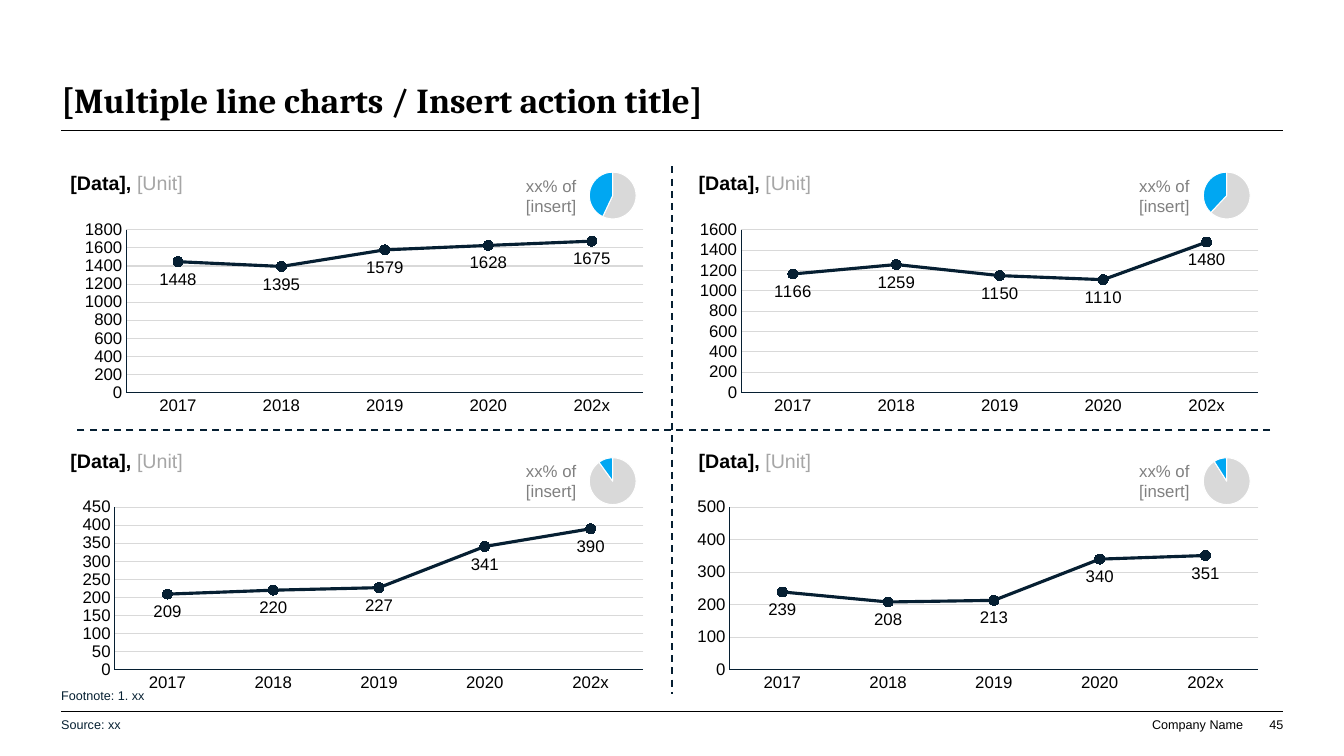
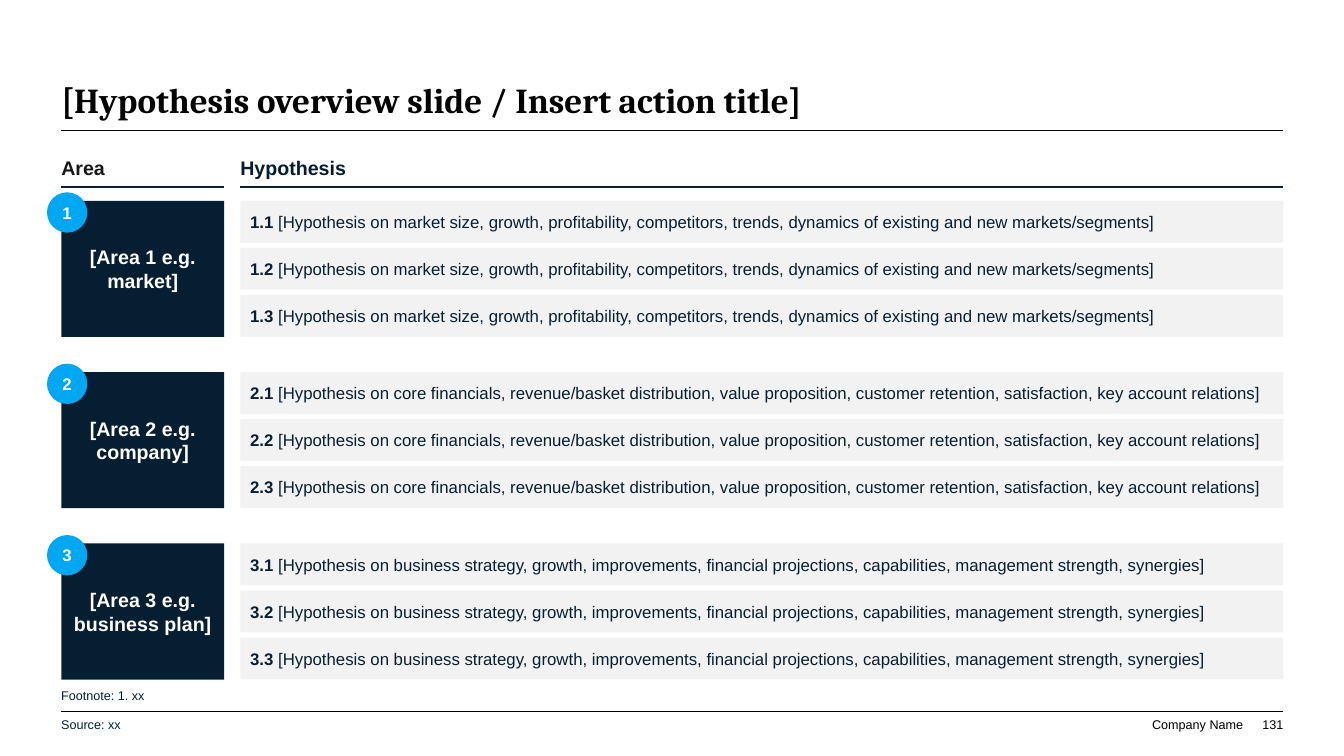
from pptx import Presentation
from pptx.chart.data import CategoryChartData
from pptx.dml.color import RGBColor
from pptx.enum.chart import XL_CHART_TYPE, XL_LABEL_POSITION, XL_MARKER_STYLE, XL_TICK_MARK
from pptx.enum.dml import MSO_LINE
from pptx.enum.shapes import MSO_CONNECTOR, MSO_SHAPE
from pptx.enum.text import MSO_ANCHOR, MSO_AUTO_SIZE, PP_ALIGN
from pptx.oxml import parse_xml
from pptx.oxml.ns import nsdecls, qn
from pptx.util import Pt

LINE, PIE = XL_CHART_TYPE.LINE_MARKERS, XL_CHART_TYPE.PIE
BELOW, DOT, NO_TICK = XL_LABEL_POSITION.BELOW, XL_MARKER_STYLE.CIRCLE, XL_TICK_MARK.NONE
DASH, STRAIGHT = MSO_LINE.DASH, MSO_CONNECTOR.STRAIGHT
RECT, OVAL = MSO_SHAPE.RECTANGLE, MSO_SHAPE.OVAL
TOP, MID, LOW = MSO_ANCHOR.TOP, MSO_ANCHOR.MIDDLE, MSO_ANCHOR.BOTTOM
LEFT, MIDST, RIGHT = PP_ALIGN.LEFT, PP_ALIGN.CENTER, PP_ALIGN.RIGHT
FIXED = MSO_AUTO_SIZE.NONE

COLS, ROWS, UNIT = 80, 45, 152400
EDGE, END = 3.65, 76.4
NAVY, DEEP, BLUE = "061F32", "061E31", "00A7F2"
BLACK, WHITE, PALE = "000000", "FFFFFF", "F2F2F2"
GREY, MUTED, FAINT = "808080", "A6A6A6", "D9D9D9"
NOTE = "062032"
PAD = (0.6, 0.3)
YEARS = ["2017", "2018", "2019", "2020", "202x"]


def hue(code):
    return RGBColor.from_string(code)


def span(*cells):
    return [round(cell * UNIT) for cell in cells]


def ink(line, code, width):
    line.color.rgb = hue(code)
    line.width = Pt(width)


class Deck:
    sans, serif = "Arial", "Cambria"

    def __init__(self):
        self.show = Presentation()
        self.show.slide_width, self.show.slide_height = span(COLS, ROWS)
        self.slide = None

    def page(self, title, number):
        self.slide = self.show.slides.add_slide(self.show.slide_layouts[5])
        head = self.slide.shapes.title
        head.left, head.top, head.width, head.height = span(EDGE, 2.35, END - EDGE, 4.8)
        self.label(head, [(title, 25, BLACK, True)], LEFT, LOW, (0, 0), self.serif)
        for row in (7.77, 42.35):
            self.rule(EDGE, row, END, row, BLACK, 0.5)
        self.text((68.5, 42.65, 5.5, 0.9), [("Company Name", 9, BLACK, False)],
                  RIGHT, LOW, (0, 0), False)
        self.text((74.2, 42.65, 2.2, 0.9), [(number, 9, BLACK, False)], RIGHT, LOW, (0, 0))
        for words, row, width in (("Source: xx", 41.95, 47.9), ("Footnote: 1. xx", 40.2, 61.6)):
            self.text((EDGE - 0.6, row, width, 2.4), [(words, 9, NOTE, False)], LEFT, MID)

    def label(self, shape, runs, align, anchor, pad, face=None, wrap=True):
        frame = shape.text_frame
        frame.auto_size = FIXED
        frame.word_wrap = wrap
        frame.vertical_anchor = anchor
        frame.margin_left, frame.margin_top = span(*pad)
        frame.margin_right, frame.margin_bottom = span(*pad)
        para = frame.paragraphs[0]
        para.alignment = align
        for words, size, code, bold in runs:
            run = para.add_run()
            run.text = words
            run.font.name = face or self.sans
            run.font.size = Pt(size)
            run.font.bold = bold
            run.font.color.rgb = hue(code)

    def text(self, box, runs, align=LEFT, anchor=TOP, pad=PAD, wrap=True):
        shape = self.slide.shapes.add_textbox(*span(*box))
        self.label(shape, runs, align, anchor, pad, wrap=wrap)

    def block(self, kind, box, code, runs, align=MIDST, pad=PAD):
        shape = self.slide.shapes.add_shape(kind, *span(*box))
        shape.shadow.inherit = False
        shape.fill.solid()
        shape.fill.fore_color.rgb = hue(code)
        shape.line.fill.background()
        self.label(shape, runs, align, MID, pad)

    def rule(self, left, top, right, low, code=NAVY, width=1.25, dash=None):
        line = self.slide.shapes.add_connector(STRAIGHT, *span(left, top, right, low))
        ink(line.line, code, width)
        if dash:
            line.line.dash_style = dash
        line._element.spPr.append(parse_xml(f"<a:effectLst {nsdecls('a')}/>"))

    def chart(self, kind, box, names, vals, inner):
        data = CategoryChartData()
        data.categories = names
        data.add_series("Series 1", vals)
        chart = self.slide.shapes.add_chart(kind, *span(*box), data).chart
        chart.has_legend = chart.has_title = False
        self.style(chart.font)
        self.place(chart, inner)
        return chart

    def style(self, font):
        font.name, font.size = self.sans, Pt(12)
        font.color.rgb = hue(BLACK)

    def place(self, chart, inner):
        area = chart._chartSpace.chart.plotArea
        for old in area.findall(qn("c:layout")):
            area.remove(old)
        tags = "".join(f'<c:{key} val="{val}"/>' for key, val in zip("xywh", inner))
        area.insert(0, parse_xml(
            f'<c:layout {nsdecls("c")}><c:manualLayout><c:layoutTarget val="inner"/>'
            f'<c:xMode val="edge"/><c:yMode val="edge"/>{tags}'
            '</c:manualLayout></c:layout>'))

    def trend(self, box, vals, peak, step, inset):
        chart = self.chart(LINE, box, YEARS, vals, (inset, 0.07, 0.98 - inset, 0.81))
        for axis in (chart.category_axis, chart.value_axis):
            axis.major_tick_mark = axis.minor_tick_mark = NO_TICK
            self.style(axis.tick_labels.font)
            ink(axis.format.line, NAVY, 0.75)
        scale = chart.value_axis
        scale.minimum_scale, scale.maximum_scale, scale.major_unit = 0, peak, step
        scale.tick_labels.number_format = "0"
        scale.tick_labels.number_format_is_linked = False
        scale.has_major_gridlines = True
        ink(scale.major_gridlines.format.line, FAINT, 0.75)
        plot = chart.plots[0]
        plot.vary_by_categories = False
        curve = plot.series[0]
        curve.smooth = False
        ink(curve.format.line, NAVY, 2.25)
        mark = curve.marker
        mark.style, mark.size = DOT, 7
        mark.format.fill.solid()
        mark.format.fill.fore_color.rgb = hue(NAVY)
        ink(mark.format.line, NAVY, 0.75)
        tags = curve.data_labels
        tags.show_value = True
        tags.position = BELOW
        tags.number_format, tags.number_format_is_linked = "General", False
        self.style(tags.font)

    def pie(self, box, vals):
        chart = self.chart(PIE, box, ["1", "2"], vals, (0.23, 0.2, 0.55, 0.62))
        plot = chart.plots[0]
        plot.vary_by_categories = True
        for spot, code in enumerate((FAINT, BLUE)):
            wedge = plot.series[0].points[spot].format
            wedge.fill.solid()
            wedge.fill.fore_color.rgb = hue(code)
            ink(wedge.line, WHITE, 0.75)


def trends(deck):
    deck.page("[Multiple line charts / Insert action title]", "45")
    deck.rule(40, 9.9, 40, 41.3, dash=DASH)
    deck.rule(75.6, 25.6, 4.4, 25.6, dash=DASH)
    sides = ((3.6, 4.4, 28.9, 33.9), (41, 41, 65.4, 70.45))
    tiers = ((9.9, 12.85, 10.15, 9.35), (26.45, 29.35, 27.1, 26.35))
    panels = (
        ([1448, 1395, 1579, 1628, 1675], 1800, 200, 57),
        ([1166, 1259, 1150, 1110, 1480], 1600, 200, 62),
        ([209, 220, 227, 341, 390], 450, 50, 90),
        ([239, 208, 213, 340, 351], 500, 100, 91),
    )
    for spot, (vals, peak, step, share) in enumerate(panels):
        tier, side = divmod(spot, 2)
        head, plot, note, disc = zip(sides[side], tiers[tier])
        inset = 0.09 if peak > 999 else 0.07
        deck.trend((*plot, 34.6, 11.95), vals, peak, step, inset)
        deck.text((*head, 21.2, 2.05),
                  [("[Data], ", 14, BLACK, True), ("[Unit]", 14, MUTED, False)])
        deck.pie((*disc, 5.1, 4.5), [share, 100 - share])
        deck.text((*note, 6, 3), [("xx% of [insert]", 12, GREY, False)], RIGHT, MID)


def areas(deck):
    deck.page("[Hypothesis overview slide / Insert action title]", "131")
    wide, start = 9.7, 14.3
    reach = END - start
    for words, left, width, code in (("Area", EDGE, wide, "181717"),
                                     ("Hypothesis", start, reach, "051D30")):
        deck.text((left, 9.25, width, 1.45), [(words, 14, code, True)], LEFT, LOW, (0, 0))
        deck.rule(left, 11.15, left + width, 11.15)
    first, pitch, step, tall = 11.95, 10.2, 2.8, 2.5
    topics = (
        ("market", "market size, growth, profitability, competitors, trends, "
                   "dynamics of existing and new markets/segments"),
        ("company", "core financials, revenue/basket distribution, value proposition, "
                    "customer retention, satisfaction, key account relations"),
        ("business plan", "business strategy, growth, improvements, financial projections, "
                          "capabilities, management strength, synergies"),
    )
    for count, (name, theme) in enumerate(topics, 1):
        top = first + (count - 1) * pitch
        deck.block(RECT, (EDGE, top, wide, 2 * step + tall), DEEP,
                   [(f"[Area {count} e.g. {name}]", 14, WHITE, True)])
        for row in range(3):
            deck.block(RECT, (start, top + row * step, reach, tall), PALE,
                       [(f"{count}.{row + 1} ", 12, NAVY, True),
                        (f"[Hypothesis on {theme}]", 12, NAVY, False)], LEFT)
        deck.block(OVAL, (EDGE - 0.85, top - 0.5, 2.4, 2.4), BLUE,
                   [(str(count), 12, WHITE, True)], pad=(0, 0.3))


def main():
    deck = Deck()
    trends(deck)
    areas(deck)
    deck.show.save("out.pptx")


if __name__ == "__main__":
    main()
